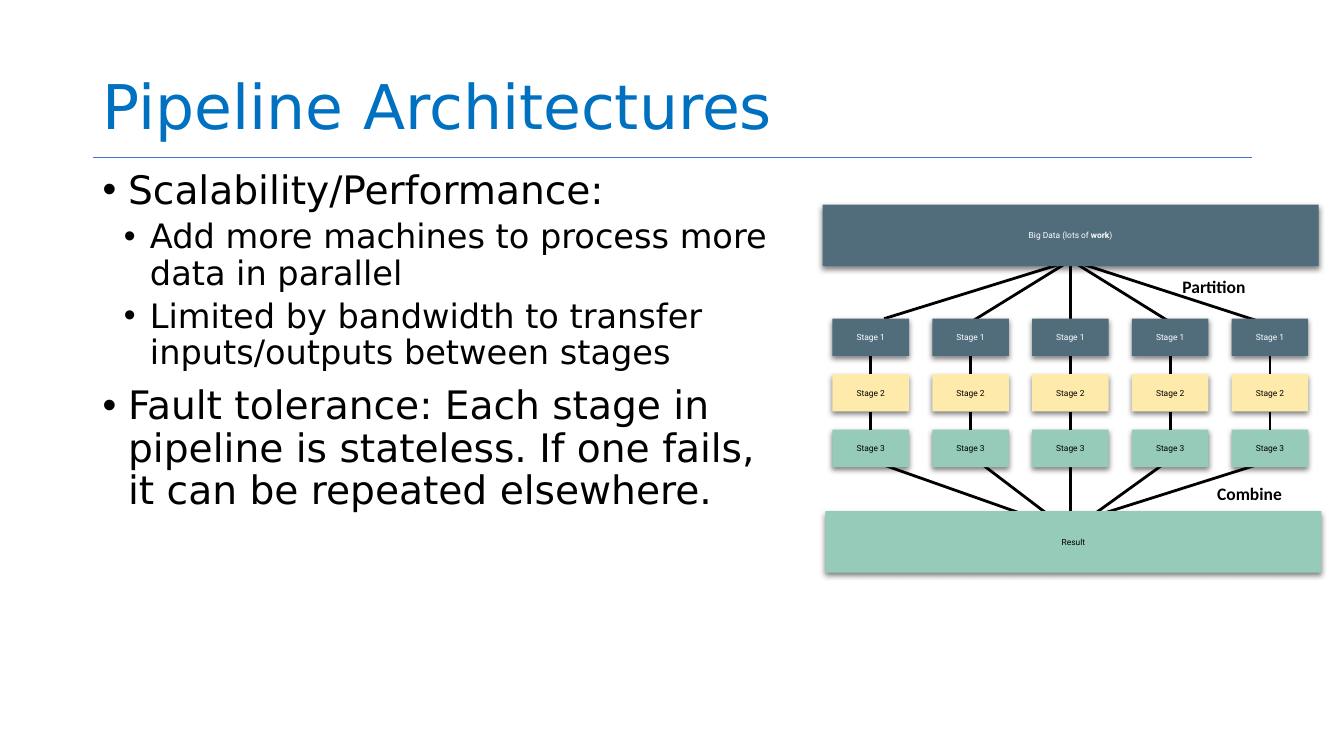
"""Build the Pipeline Architectures slide with its partition and combine diagram."""
from lxml.etree import SubElement
from pptx import Presentation
from pptx.dml.color import RGBColor
from pptx.enum.shapes import MSO_CONNECTOR, MSO_SHAPE
from pptx.enum.text import MSO_ANCHOR, PP_ALIGN
from pptx.oxml.ns import qn
from pptx.util import Cm, Pt

COLORS = {
    "title": "0070C0",
    "rule": "4472C4",
    "black": "000000",
    "white": "FFFFFF",
    "slate": "516D7C",
    "yellow": "FEEBAB",
    "green": "96CBB9",
}


def write(p, text, size, font="DejaVu Sans", color="black", bold=False,
          align=PP_ALIGN.LEFT, spacing=1.0, before=0, level=0, bullet=None):
    """Fill a paragraph; text between asterisks is bold, bullet is (margin, hang) in cm."""
    p.level = level
    if bullet:
        pPr = p._p.get_or_add_pPr()
        pPr.set("marL", str(Cm(bullet[0])))
        pPr.set("indent", str(-Cm(bullet[1])))
        SubElement(pPr, qn("a:buFont")).set("typeface", "Arial")
        SubElement(pPr, qn("a:buChar")).set("char", "•")
    p.alignment = align
    p.line_spacing = spacing
    p.space_before = Pt(before)
    for i, part in enumerate(text.split("*")):
        r = p.add_run()
        r.text = part
        r.font.size = Pt(size)
        r.font.name = font
        r.font.bold = bold or i % 2 == 1
        r.font.color.rgb = RGBColor.from_string(COLORS[color])


def connect(x1, y1, x2, y2, color="black", width=2):
    """Draw a straight line between two points in cm."""
    c = s.shapes.add_connector(MSO_CONNECTOR.STRAIGHT, Cm(x1), Cm(y1), Cm(x2), Cm(y2))
    c.line.color.rgb = RGBColor.from_string(COLORS[color])
    c.line.width = Pt(width)
    SubElement(c._element.spPr, qn("a:effectLst"))
    return c


prs = Presentation()
prs.slide_width, prs.slide_height = Cm(33.87), Cm(19.05)
s = prs.slides.add_slide(prs.slide_layouts[6])

connect(2.34, 3.96, 31.55, 3.96, color="rule", width=0.5)

tf = s.shapes.add_textbox(Cm(2.34), Cm(0.05), Cm(29.21), Cm(3.68)).text_frame
tf.word_wrap = True
tf.vertical_anchor = MSO_ANCHOR.BOTTOM
write(tf.paragraphs[0], "Pipeline Architectures", 44, color="title", spacing=0.9)

tf = s.shapes.add_textbox(Cm(2.34), Cm(4.17), Cm(17.55), Cm(12.09)).text_frame
tf.word_wrap = True
body = [
    (0, "Scalability/Performance:"),
    (1, "Add more machines to process more data in parallel"),
    (1, "Limited by bandwidth to transfer inputs/outputs between stages"),
    (0, "Fault tolerance: Each stage in pipeline is stateless. "
        "If one fails, it can be repeated elsewhere."),
]
level_formats = [
    dict(size=28, before=10, bullet=(0.64, 0.64)),
    dict(size=24, before=5, bullet=(1.19, 0.66)),
]
for i, (level, text) in enumerate(body):
    p = tf.add_paragraph() if i else tf.paragraphs[0]
    fmt = level_formats[level] if i else {**level_formats[level], "before": 0}
    write(p, text, level=level, spacing=0.9, **fmt)

fan_lines = [
    (22.28, 8.03, 26.64, 6.68),
    (24.49, 8.1, 26.95, 6.58),
    (26.97, 8.31, 26.97, 6.38),
    (29.51, 8.13, 26.97, 6.55),
    (31.83, 8.13, 26.95, 6.55),
    (26.87, 13.34, 21.74, 11.53),
    (26.97, 13.39, 24.46, 11.48),
    (26.97, 13.39, 26.97, 11.48),
    (26.97, 13.39, 29.62, 11.48),
    (27.03, 13.18, 31.78, 11.68),
]
for ends in fan_lines:
    connect(*ends)

stages = [("Stage 1", "slate", "white"), ("Stage 2", "yellow", "black"), ("Stage 3", "green", "black")]
boxes = [
    (20.98 + 2.515 * col, 8.03 + 1.4 * row, 1.93, 0.94, *stage)
    for col in range(5) for row, stage in enumerate(stages)
]
boxes += [
    (20.73, 5.16, 12.5, 1.55, "Big Data (lots of *work*)", "slate", "white"),
    (20.8, 12.88, 12.5, 1.55, "Result", "green", "black"),
]
shapes = []
for left, top, width, height, text, fill, color in boxes:
    sp = s.shapes.add_shape(MSO_SHAPE.RECTANGLE, Cm(left), Cm(top), Cm(width), Cm(height))
    sp.fill.solid()
    sp.fill.fore_color.rgb = RGBColor.from_string(COLORS[fill])
    sp.line.fill.background()
    sp.shadow.inherit = False
    effects = sp._element.spPr.find(qn("a:effectLst"))
    shadow = SubElement(effects, qn("a:outerShdw"), blurRad=str(Pt(4)), dist=str(Pt(2)),
                        dir="5400000", rotWithShape="0")
    tint = SubElement(shadow, qn("a:srgbClr"), val=COLORS["black"])
    SubElement(tint, qn("a:alpha"), val="50000")
    tf = sp.text_frame
    tf.word_wrap = True
    tf.vertical_anchor = MSO_ANCHOR.MIDDLE
    tf.margin_left = tf.margin_right = tf.margin_top = tf.margin_bottom = Cm(0.1)
    write(tf.paragraphs[0], text, 6, font="Roboto", color=color, align=PP_ALIGN.CENTER)
    shapes.append(sp)

for col in range(5):
    column = shapes[3 * col:3 * col + 3]
    for upper, lower in zip(column, column[1:]):
        c = connect(0, 0, 0, 0)
        c.begin_connect(upper, 2)
        c.end_connect(lower, 0)

labels = [("Partition", 29.59, 6.88, 2.01, 0.66), ("Combine", 30.12, 11.99, 2.74, 0.91)]
for text, left, top, width, height in labels:
    tf = s.shapes.add_textbox(Cm(left), Cm(top), Cm(width), Cm(height)).text_frame
    tf.word_wrap = True
    tf.vertical_anchor = MSO_ANCHOR.MIDDLE
    tf.margin_left = tf.margin_right = tf.margin_top = tf.margin_bottom = Cm(0.1)
    write(tf.paragraphs[0], text, 12.5, font="Calibri", bold=True, align=PP_ALIGN.CENTER)

prs.save("out.pptx")
